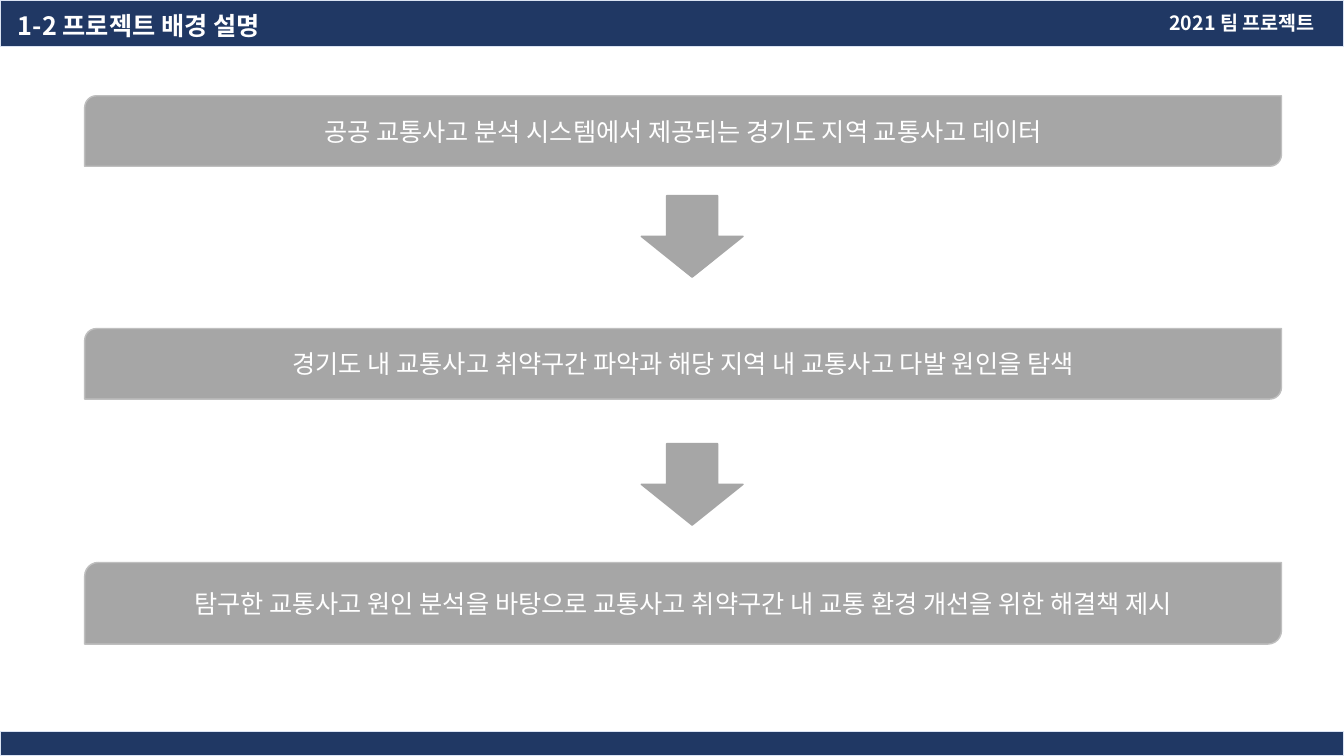
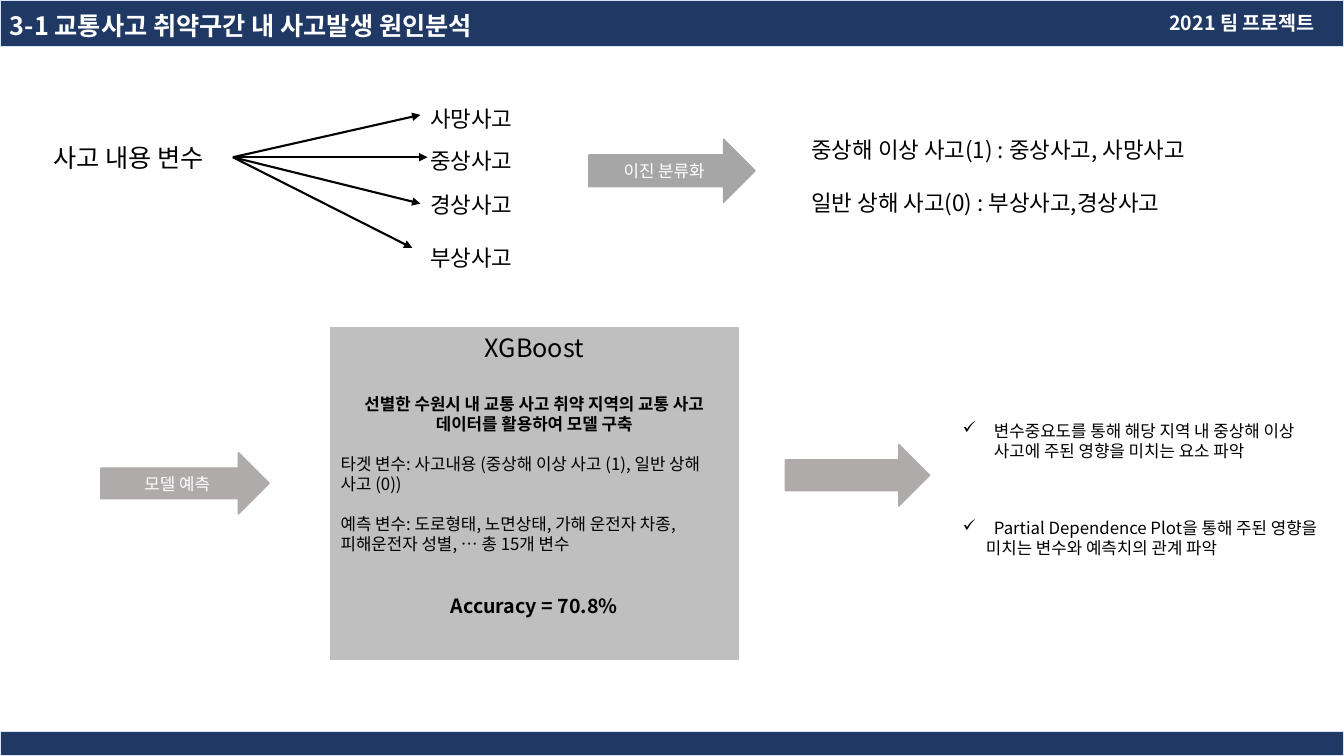
from lxml import etree
from pptx import Presentation
from pptx.dml.color import RGBColor
from pptx.enum.shapes import MSO_CONNECTOR, MSO_SHAPE
from pptx.enum.text import MSO_ANCHOR, PP_ALIGN
from pptx.oxml.ns import qn
from pptx.util import Pt

PX = 9144
SLIDE_WIDTH, SLIDE_HEIGHT = 1333, 750
FONT = "Noto Sans CJK KR"

NAVY = RGBColor(0x20, 0x38, 0x64)
PALE_BLUE = RGBColor(0xDA, 0xE3, 0xF3)
GRAY = RGBColor(0xA6, 0xA6, 0xA6)
WARM_GRAY = RGBColor(0xAF, 0xAB, 0xAB)
LIGHT_GRAY = RGBColor(0xBF, 0xBF, 0xBF)
WHITE = RGBColor(0xFF, 0xFF, 0xFF)
BLACK = RGBColor(0x00, 0x00, 0x00)

RECTANGLE = MSO_SHAPE.RECTANGLE
STEP_BOX = MSO_SHAPE.ROUND_2_DIAG_RECTANGLE
DOWN_ARROW = MSO_SHAPE.DOWN_ARROW
RIGHT_ARROW = MSO_SHAPE.RIGHT_ARROW
STRAIGHT = MSO_CONNECTOR.STRAIGHT
LEFT, CENTER = PP_ALIGN.LEFT, PP_ALIGN.CENTER
TOP, MIDDLE = MSO_ANCHOR.TOP, MSO_ANCHOR.MIDDLE


def px(*lengths):
    return [length * PX for length in lengths]


def write_paragraph(paragraph, text, size, color, bold=False, align=LEFT, space=0):
    paragraph.text = text
    paragraph.alignment = align
    paragraph.space_before = Pt(space)
    for run in paragraph.runs:
        run.font.size = Pt(size)
        run.font.bold = bold
        run.font.color.rgb = color
        run.font.name = FONT
        east_asian = etree.SubElement(run.font._element, qn("a:ea"))
        east_asian.set("typeface", FONT)


def add_paragraph(text_frame, *content, **style):
    paragraph = text_frame.paragraphs[0]
    if paragraph.runs:
        paragraph = text_frame.add_paragraph()
    write_paragraph(paragraph, *content, **style)
    return paragraph


def add_text_box(slide, box, text="", size=16, color=BLACK, bold=False):
    text_frame = slide.shapes.add_textbox(*px(*box)).text_frame
    text_frame.word_wrap = True
    if text:
        add_paragraph(text_frame, text, size, color, bold=bold)
    return text_frame


def add_block(slide, kind, box, fill, line, text="", size=12):
    shape = slide.shapes.add_shape(kind, *px(*box))
    shape.shadow.inherit = False
    shape.fill.solid()
    shape.fill.fore_color.rgb = fill
    shape.line.color.rgb = line
    shape.line.width = Pt(1)
    shape.text_frame.word_wrap = True
    shape.text_frame.vertical_anchor = MIDDLE
    if text:
        add_paragraph(shape.text_frame, text, size, WHITE, align=CENTER)
    return shape


def add_arrow_line(slide, start, end):
    connector = slide.shapes.add_connector(STRAIGHT, *px(*start, *end))
    connector.line.color.rgb = BLACK
    connector.line.width = Pt(1.5)
    tail = etree.SubElement(connector.line._get_or_add_ln(), qn("a:tailEnd"))
    tail.set("type", "triangle")
    etree.SubElement(connector._element.spPr, qn("a:effectLst"))


def indent_paragraph(paragraph, margin, bullet=""):
    properties = paragraph._p.get_or_add_pPr()
    properties.set("marL", str(margin * PX))
    if bullet:
        properties.set("indent", str(-margin * PX))
        etree.SubElement(properties, qn("a:buChar")).set("char", bullet)


def add_framed_slide(presentation, title, title_left):
    slide = presentation.slides.add_slide(presentation.slide_layouts[6])
    for top, height in ((0, 46), (726, 24)):
        add_block(slide, RECTANGLE, (0, top, SLIDE_WIDTH, height), NAVY, PALE_BLUE)
    add_text_box(slide, (1150, 6, 183, 34), "2021 팀 프로젝트", 14, WHITE, True)
    add_text_box(slide, (title_left, 5, 557, 40), title, 18, WHITE, True)
    return slide


def build_background_slide(presentation):
    slide = add_framed_slide(presentation, "1-2 프로젝트 배경 설명", 8)
    steps = (
        (95, 70, "공공 교통사고 분석 시스템에서 제공되는 경기도 지역 교통사고 데이터"),
        (326, 70, "경기도 내 교통사고 취약구간 파악과 해당 지역 내 교통사고 다발 원인을 탐색"),
        (558, 81, "탐구한 교통사고 원인 분석을 바탕으로 교통사고 취약구간 내 교통 환경 개선을 위한 해결책 제시"),
    )
    for top, height, text in steps:
        add_block(slide, STEP_BOX, (84, top, 1187, height), GRAY, LIGHT_GRAY, text, 18)
    for top in (194, 440):
        add_block(slide, DOWN_ARROW, (636, top, 101, 81), GRAY, GRAY)


def add_accident_classes(slide):
    add_text_box(slide, (43, 136, 309, 40), "사고 내용 변수", 18)
    classes = (
        ("사망사고", 99, (417, 114)),
        ("중상사고", 141, (424, 156)),
        ("경상사고", 185, (417, 202)),
        ("부상사고", 237, (409, 246)),
    )
    for name, top, arrow_end in classes:
        add_arrow_line(slide, (231, 156), arrow_end)
        add_text_box(slide, (417, top, 150, 37), name)
    add_block(slide, RIGHT_ARROW, (584, 138, 165, 63), GRAY, GRAY, "이진 분류화")
    labels = add_text_box(slide, (795, 130, 495, 91))
    add_paragraph(labels, "중상해 이상 사고(1) : 중상사고, 사망사고", 16, BLACK)
    add_paragraph(labels, "일반 상해 사고(0) : 부상사고,경상사고", 16, BLACK, space=19)


def add_model_card(slide):
    card = add_block(slide, RECTANGLE, (328, 325, 404, 329), LIGHT_GRAY, LIGHT_GRAY)
    card.text_frame.vertical_anchor = TOP
    lines = (
        ("XGBoost", 18, False, CENTER, 0),
        ("선별한 수원시 내 교통 사고 취약 지역의 교통 사고 데이터를 활용하여 모델 구축", 12, True, CENTER, 22),
        ("타겟 변수: 사고내용 (중상해 이상 사고 (1), 일반 상해 사고 (0))", 12, False, LEFT, 14),
        ("예측 변수: 도로형태, 노면상태, 가해 운전자 차종, 피해운전자 성별, … 총 15개 변수", 12, False, LEFT, 14),
        ("Accuracy = 70.8%", 14, True, CENTER, 29),
    )
    for text, size, bold, align, space in lines:
        add_paragraph(card.text_frame, text, size, BLACK, bold=bold, align=align, space=space)


def add_findings(slide):
    findings = (
        (412, ("변수중요도를 통해 해당 지역 내 중상해 이상 사고에 주된 영향을 미치는 요소 파악",)),
        (509, ("Partial Dependence Plot을 통해 주된 영향을", "미치는 변수와 예측치의 관계 파악")),
    )
    for top, (bulleted, *continuations) in findings:
        text_frame = add_text_box(slide, (945, top, 388, 50))
        indent_paragraph(add_paragraph(text_frame, bulleted, 12, BLACK), 31, "✓")
        for text in continuations:
            indent_paragraph(add_paragraph(text_frame, text, 12, BLACK), 23)


def build_analysis_slide(presentation):
    slide = add_framed_slide(presentation, "3-1 교통사고 취약구간 내 사고발생 원인분석", 0)
    add_accident_classes(slide)
    add_model_card(slide)
    add_block(slide, RIGHT_ARROW, (100, 449, 167, 61), WARM_GRAY, WARM_GRAY, "모델 예측")
    add_block(slide, RIGHT_ARROW, (779, 441, 143, 61), WARM_GRAY, WARM_GRAY)
    add_findings(slide)


def main():
    presentation = Presentation()
    presentation.slide_width, presentation.slide_height = px(SLIDE_WIDTH, SLIDE_HEIGHT)
    build_background_slide(presentation)
    build_analysis_slide(presentation)
    presentation.save("out.pptx")


if __name__ == "__main__":
    main()
